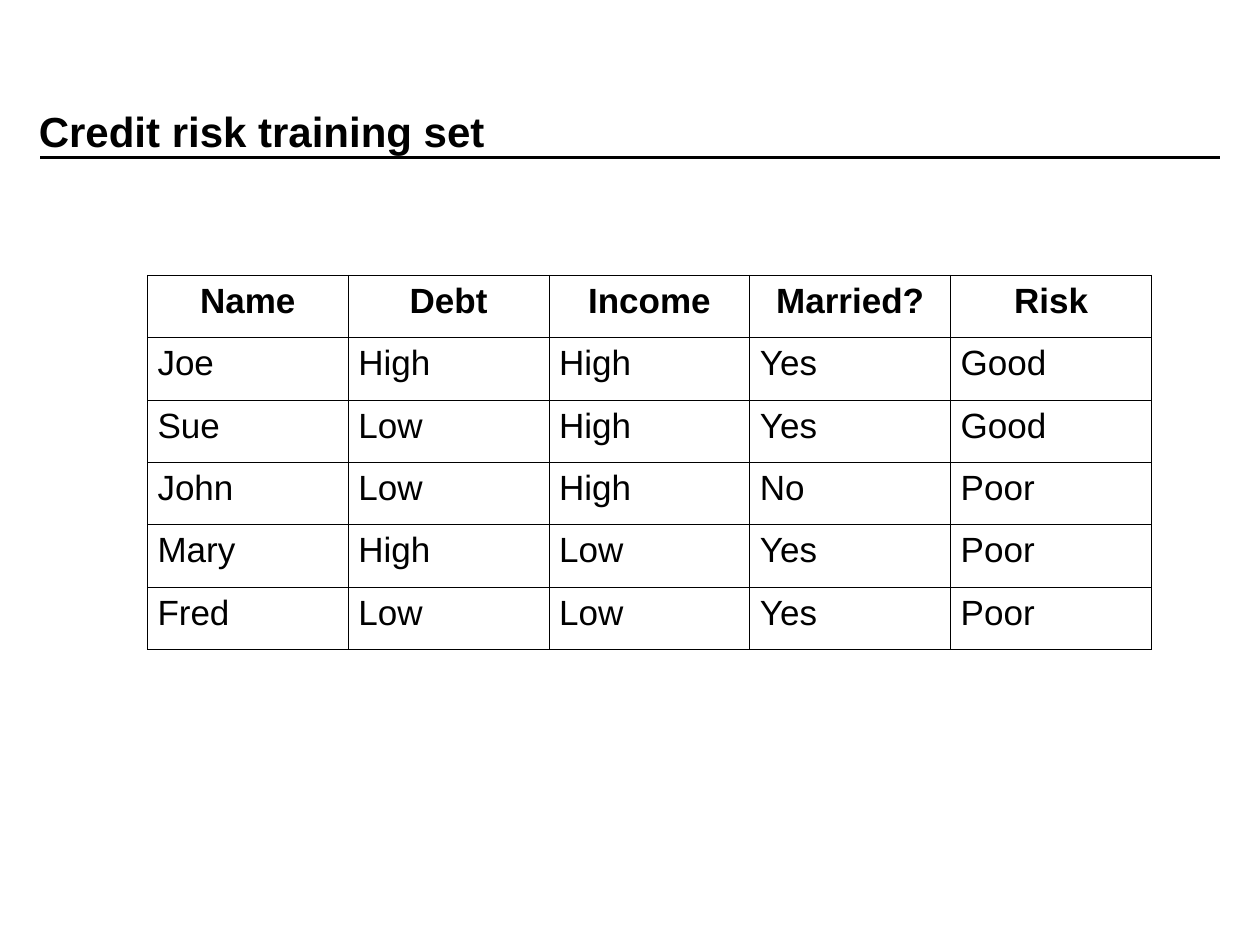
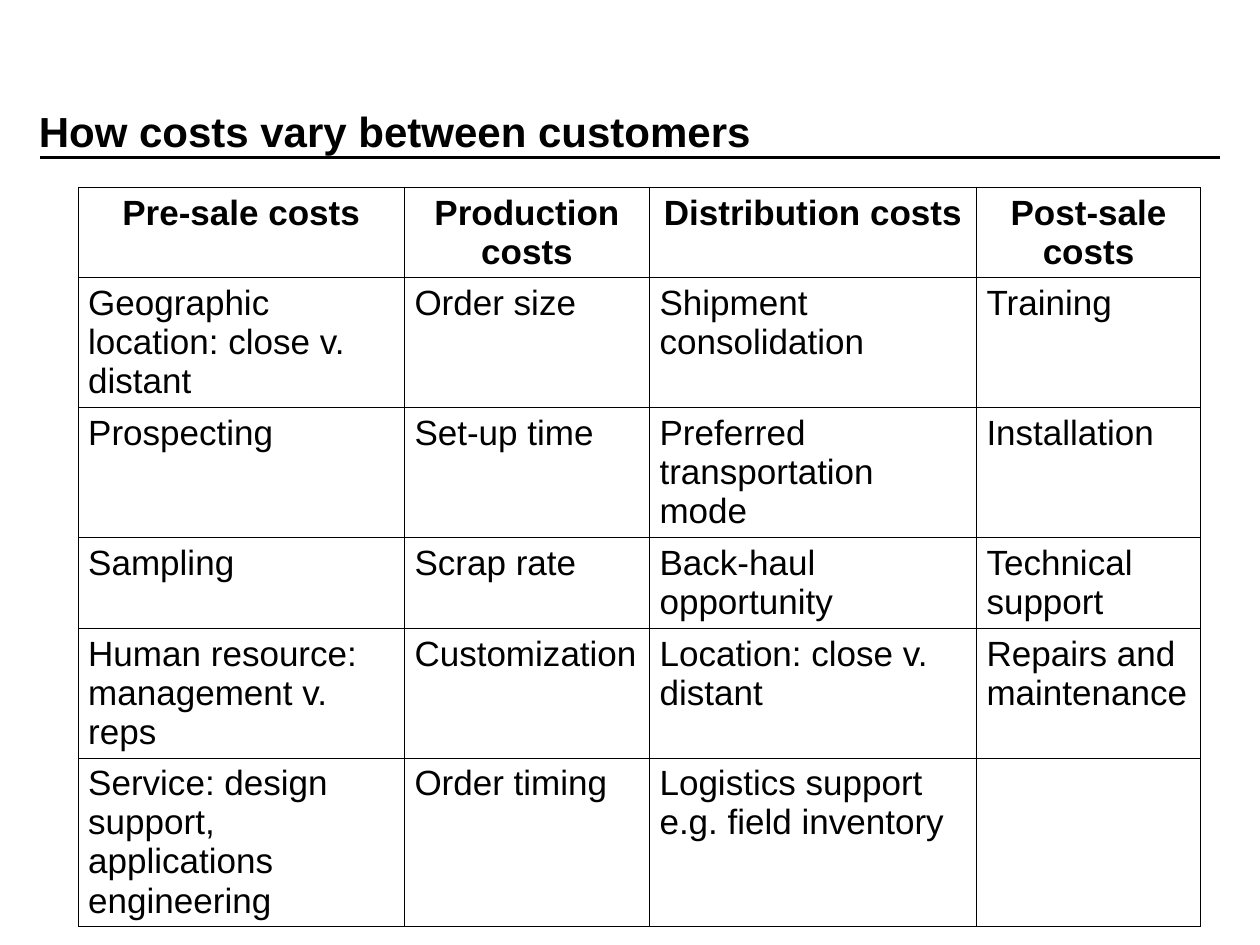
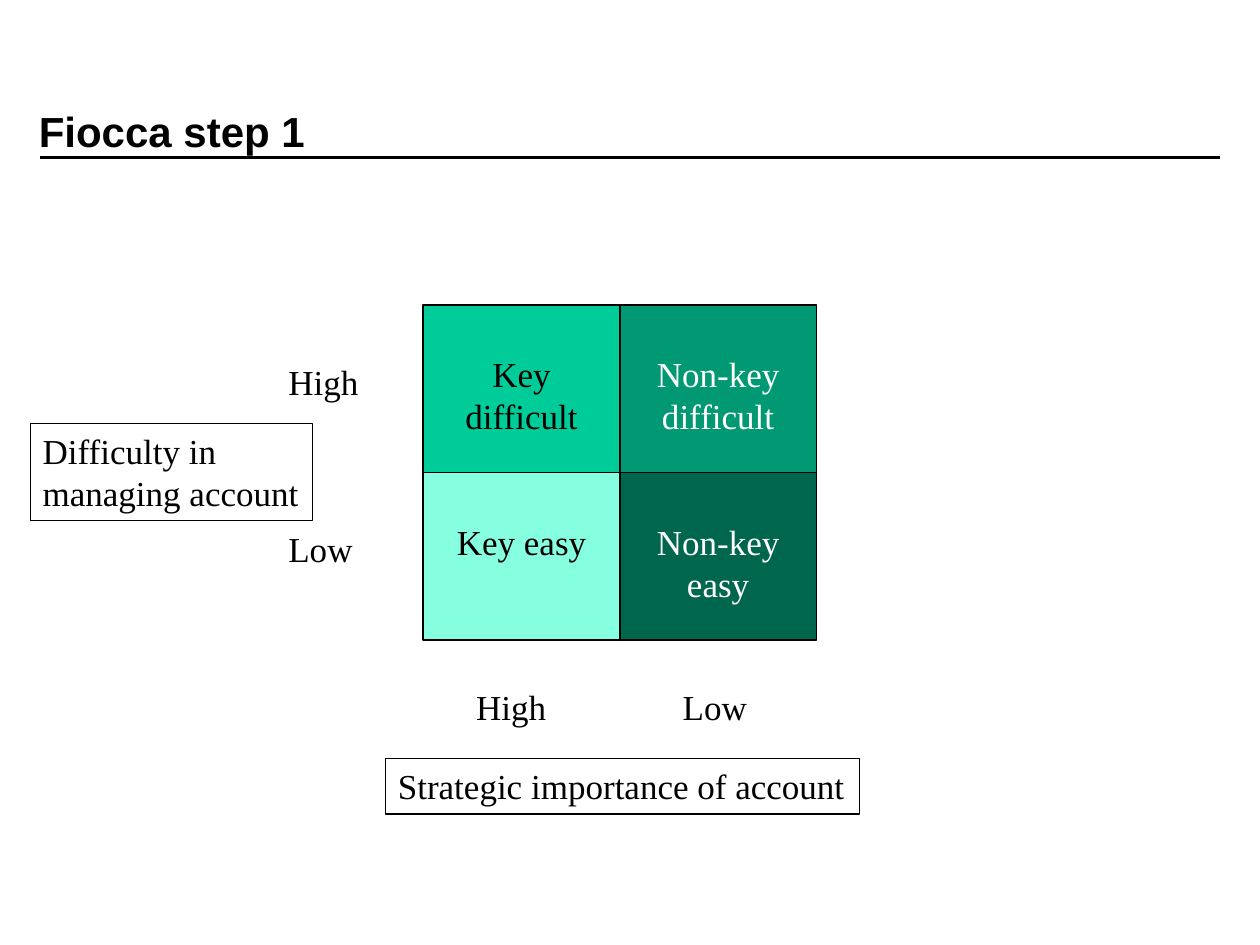
from lxml import etree
from pptx import Presentation
from pptx.dml.color import RGBColor
from pptx.enum.shapes import MSO_CONNECTOR, MSO_SHAPE
from pptx.enum.text import MSO_ANCHOR, MSO_AUTO_SIZE, PP_ALIGN
from pptx.oxml.ns import qn
from pptx.util import Inches, Pt

BLACK = RGBColor(0, 0, 0)
WHITE = RGBColor(255, 255, 255)
GREEN = RGBColor(0x00, 0xCC, 0x99)
MINT = RGBColor(0x85, 0xFF, 0xE0)
JADE = RGBColor(0x00, 0x99, 0x73)
PINE = RGBColor(0x00, 0x66, 0x4D)
SANS, SERIF = "Arial", "Times New Roman"
RECT, LINE = MSO_SHAPE.RECTANGLE, MSO_CONNECTOR.STRAIGHT
LEFT, CENTER = PP_ALIGN.LEFT, PP_ALIGN.CENTER
TOP, MIDDLE = MSO_ANCHOR.TOP, MSO_ANCHOR.MIDDLE
FIXED = MSO_AUTO_SIZE.NONE
COLS, ROWS = 100, 75
EDGES = ("a:lnL", "a:lnR", "a:lnT", "a:lnB")

RISKS = [
    ("Name", "Debt", "Income", "Married?", "Risk"),
    ("Joe", "High", "High", "Yes", "Good"),
    ("Sue", "Low", "High", "Yes", "Good"),
    ("John", "Low", "High", "No", "Poor"),
    ("Mary", "High", "Low", "Yes", "Poor"),
    ("Fred", "Low", "Low", "Yes", "Poor"),
]
COSTS = [
    ("Pre-sale costs", "Production costs", "Distribution costs", "Post-sale costs"),
    ("Geographic location: close v. distant", "Order size",
     "Shipment consolidation", "Training"),
    ("Prospecting", "Set-up time", "Preferred transportation mode", "Installation"),
    ("Sampling", "Scrap rate", "Back-haul opportunity", "Technical support"),
    ("Human resource: management v. reps", "Customization",
     "Location: close v. distant", "Repairs and maintenance"),
    ("Service: design support, applications engineering", "Order timing",
     "Logistics support e.g. field inventory", ""),
]
QUADS = [
    [("Key difficult", GREEN, BLACK), ("Non-key difficult", JADE, WHITE)],
    [("Key easy", MINT, BLACK), ("Non-key easy", PINE, WHITE)],
]


def write(frame, text, font=SANS, size=20, color=BLACK, bold=False, align=LEFT):
    for i, line in enumerate(text.split("\n")):
        para = frame.add_paragraph() if i else frame.paragraphs[0]
        para.alignment = align
        if line:
            run = para.add_run()
            run.text = line
            run.font.name, run.font.size = font, Pt(size)
            run.font.bold, run.font.color.rgb = bold, color


class Deck:
    def __init__(self):
        self.prs = Presentation()
        self.prs.slide_width, self.prs.slide_height = Inches(10), Inches(7.5)

    def x(self, cols):
        return round(self.prs.slide_width * cols / COLS)

    def y(self, rows):
        return round(self.prs.slide_height * rows / ROWS)

    def place(self, left, top, wide, high):
        return self.x(left), self.y(top), self.x(wide), self.y(high)

    def page(self, title):
        self.slide = self.prs.slides.add_slide(self.prs.slide_layouts[6])
        self.shapes = self.slide.shapes
        self.rule(3.2, 96.8, 12.5)
        self.text(title, 2.1, 4.1, 85, 12.5, anchor=MIDDLE, wrap=True,
                  size=24, bold=True)

    def rule(self, start, end, row):
        line = self.shapes.add_connector(
            LINE, self.x(start), self.y(row), self.x(end), self.y(row))
        line.line.color.rgb, line.line.width = BLACK, Pt(2)
        etree.SubElement(line._element.spPr, qn("a:effectLst"))

    def text(self, text, *spot, anchor=TOP, wrap=False, **style):
        frame = self.shapes.add_textbox(*self.place(*spot)).text_frame
        frame.word_wrap, frame.vertical_anchor = wrap, anchor
        frame.auto_size = FIXED
        write(frame, text, **style)

    def box(self, text, *spot, fill=None, width=0.75, inset=0.05, wrap=False, **style):
        shape = self.shapes.add_shape(RECT, *self.place(*spot))
        shape.shadow.inherit = False
        if fill is None:
            shape.fill.background()
        else:
            shape.fill.solid()
            shape.fill.fore_color.rgb = fill
        shape.line.color.rgb, shape.line.width = BLACK, Pt(width)
        frame = shape.text_frame
        frame.vertical_anchor, frame.word_wrap = TOP, wrap
        frame.auto_size = FIXED
        frame.margin_top = Inches(inset)
        write(frame, text, font=SERIF, **style)

    def table(self, data, left, top, wides, highs):
        spot = self.place(left, top, sum(wides), sum(highs))
        grid = self.shapes.add_table(len(data), len(wides), *spot).table
        grid.first_row = grid.horz_banding = False
        for col, wide in zip(grid.columns, wides):
            col.width = self.x(wide)
        for row, high in zip(grid.rows, highs):
            row.height = self.y(high)
        for r, line in enumerate(data):
            for c, text in enumerate(line):
                self.cell(grid.cell(r, c), text, head=r == 0)

    def cell(self, cell, text, head):
        cell.margin_left = cell.margin_right = Inches(0.08)
        write(cell.text_frame, text, bold=head, align=CENTER if head else LEFT)
        props = cell._tc.get_or_add_tcPr()
        for edge in EDGES:
            line = etree.SubElement(props, qn(edge), w=str(Pt(0.45)))
            fill = etree.SubElement(line, qn("a:solidFill"))
            etree.SubElement(fill, qn("a:srgbClr"), val=str(BLACK))
        cell.fill.background()


def main():
    deck = Deck()

    deck.page("Credit risk training set")
    deck.table(RISKS, 11.7, 21.85, [15.94] * 5, [4.95] * 6)

    deck.page("How costs vary between customers")
    deck.table(COSTS, 6.2, 14.85, [25.9, 19.45, 25.95, 17.8],
               [6.7, 10, 10, 6.8, 10, 13.3])

    deck.page("Fiocca step 1")
    left, top, wide, high = 33.6, 24.2, 15.6, 13.3
    for r, line in enumerate(QUADS):
        for c, (text, fill, color) in enumerate(line):
            deck.box(text, left + c * wide, top + r * high, wide, high, fill=fill,
                     width=1, inset=0.38, wrap=True, color=color, align=CENTER)
    for i, text in enumerate(["High", "Low"]):
        deck.text(text, 21.9, 28.1 + i * high, 7.8, 4.4, font=SERIF)
        deck.text(text, 36.8 + i * 16.4, 53.9, 7.8, 4.4, font=SERIF)
    deck.box("Strategic importance of account", 30.6, 60.2, 37.6, 4.4)
    deck.box("Difficulty in\nmanaging account", 2.4, 33.6, 22.4, 7.7)

    deck.prs.save("out.pptx")


if __name__ == "__main__":
    main()
